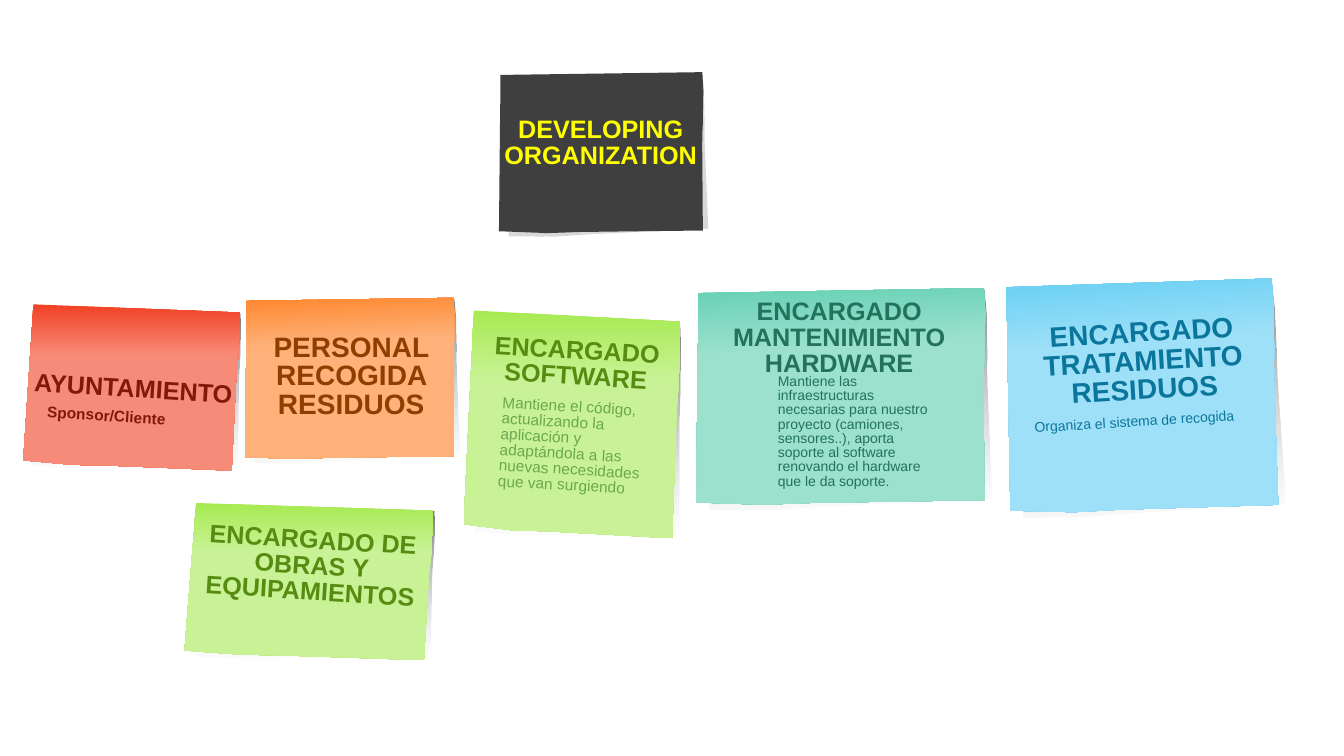
"""Build a slide of tilted sticky notes naming the roles of a developing organization."""
from dataclasses import dataclass
from typing import Any, NamedTuple

from lxml import etree
from pptx import Presentation
from pptx import util as u
from pptx.dml.color import RGBColor
from pptx.enum import text
from pptx.oxml import ns

BLACK, GREY = RGBColor(0x00, 0x00, 0x00), RGBColor(0x94, 0x94, 0x94)
CHARCOAL, SILVER = RGBColor(0x3F, 0x3F, 0x3F), RGBColor(0xD8, 0xD8, 0xD8)
YELLOW = RGBColor(0xFF, 0xFF, 0x00)
RED, PALE_RED, DARK_RED = RGBColor(0xF1, 0x41, 0x24), RGBColor(0xF7, 0x8B, 0x79), RGBColor(0x82, 0x19, 0x08)
ORANGE, PALE_ORANGE, BROWN = RGBColor(0xFF, 0x80, 0x21), RGBColor(0xFE, 0xB1, 0x79), RGBColor(0x90, 0x3D, 0x00)
LIME, PALE_LIME, DARK_LIME = RGBColor(0xA7, 0xEA, 0x52), RGBColor(0xC9, 0xF2, 0x96), RGBColor(0x56, 0x8C, 0x11)
LEAF = RGBColor(0x6A, 0xA8, 0x4F)
TEAL, PALE_TEAL, DARK_TEAL = RGBColor(0x5D, 0xCE, 0xAF), RGBColor(0x9C, 0xE1, 0xCE), RGBColor(0x22, 0x72, 0x5C)
SKY, PALE_SKY, DARK_SKY = RGBColor(0x5E, 0xCC, 0xF3), RGBColor(0x9E, 0xE0, 0xF7), RGBColor(0x0B, 0x76, 0x9C)

PAPER_OUTLINE = (
    (100, 4.9), (100, 16.4), (99.6, 23), (99.3, 28.8), (99, 35), (98.6, 39.8),
    (98.1, 48.2), (97.3, 70.4), (96.2, 100), (62.8, 98.2), (38.1, 96.9),
    (22.3, 96.5), (18.6, 96), (14.9, 95.6), (7.4, 94.7), (0, 93.8),
    (3.3, 27.9), (3.7, 20.8), (4, 15), (4.2, 9.7), (4.7, 0),
)


class Frame(NamedTuple):
    """Place and size in points, with a clockwise tilt in degrees."""
    left: float
    top: float
    width: float
    height: float
    tilt: float = 0


class Stop(NamedTuple):
    """One gradient stop, with position and opacity in percent."""
    position: int
    color: RGBColor
    opacity: int = 100


@dataclass(frozen=True)
class Caption:
    """A piece of writing on a note."""
    words: tuple[str, ...]
    frame: Frame
    size: float
    color: RGBColor
    bold: bool = True
    centered: bool = True
    level: int = 0
    is_title: bool = False


@dataclass(frozen=True)
class Note:
    """A sheet of paper, its colours and its captions."""
    frame: Frame
    paper: tuple[Stop, ...]
    captions: tuple[Caption, ...]
    shade: tuple[Stop, ...] = (Stop(0, BLACK, 58), Stop(100, GREY, 0))


def faded(strong: RGBColor, pale: RGBColor) -> tuple[Stop, ...]:
    """Return the stops of a sheet that fades from its top edge."""
    return Stop(0, strong), Stop(31, pale), Stop(100, pale)


NOTES = (
    Note(Frame(16.6, 217.4, 154.8, 118.8), faded(RED, PALE_RED), (
        Caption(("AYUNTAMIENTO",), Frame(13.7, 265.7, 162, 41.8, 3.5), 18, DARK_RED),
        Caption(("Sponsor/Cliente",), Frame(26.6, 289.4, 130.3, 15.8, 3.7), 11, DARK_RED, centered=False))),
    Note(Frame(172.1, 211, 154.8, 118.8, -3.1), faded(ORANGE, PALE_ORANGE), (
        Caption(("PERSONAL RECOGIDA RESIDUOS",), Frame(183.6, 235.4, 134.6, 39.6), 20, BROWN),)),
    Note(Frame(331.2, 221.8, 154.8, 162.7), faded(LIME, PALE_LIME), (
        Caption(("ENCARGADO SOFTWARE",), Frame(331.2, 238.3, 161.3, 40.3, 3.5), 18, DARK_LIME),
        Caption(("Mantiene el código, actualizando la aplicación y adaptándola a las nuevas "
                 "necesidades que van surgiendo",),
                Frame(351.4, 282.2, 126.7, 30.2, 3.3), 11, LEAF, bold=False, centered=False))),
    Note(Frame(493.2, 203.8, 213.8, 159.1, -3.2), faded(TEAL, PALE_TEAL), (
        Caption(("ENCARGADO", "MANTENIMIENTO HARDWARE"), Frame(500.4, 211, 198, 41), 18, DARK_TEAL),
        Caption(("Mantiene las infraestructuras necesarias para nuestro proyecto (camiones, "
                 "sensores..), aporta soporte al software renovando el hardware que le da soporte.",),
                Frame(512.6, 264.2, 163.4, 30.2), 10, DARK_TEAL, bold=False, centered=False, level=1))),
    Note(Frame(715.7, 198, 198.7, 169.9, -4.4), faded(SKY, PALE_SKY), (
        Caption(("ENCARGADO TRATAMIENTO RESIDUOS",), Frame(714.2, 224.6, 203, 40.3, -3.4), 20, DARK_SKY),
        Caption(("Organiza el sistema de recogida",), Frame(732.2, 293, 159.2, 30.2, -3.4), 10, DARK_SKY,
                bold=False, centered=False))),
    Note(Frame(353.5, 49.7, 151.2, 118.8, -3.1), (Stop(0, CHARCOAL),), (
        Caption(("DEVELOPING ORGANIZATION",), Frame(350.6, 80.6, 157, 41), 18, YELLOW, is_title=True),),
        shade=(Stop(0, SILVER),)),
    Note(Frame(131.8, 359.3, 177.8, 112.3), faded(LIME, PALE_LIME), (
        Caption(("ENCARGADO DE OBRAS Y EQUIPAMIENTOS",), Frame(140.4, 373.7, 165.6, 40.3, 3.5), 18, DARK_LIME),)),
)


def apply_format(target: Any, values: dict[str, Any]) -> None:
    """Set each named attribute on the target."""
    for attribute, value in values.items():
        setattr(target, attribute, value)


def shadow_frame(sheet: Frame) -> Frame:
    """Return the slightly smaller, shifted and turned frame behind a sheet."""
    return Frame(sheet.left + 0.033 * sheet.width, sheet.top + 0.03 * sheet.height,
                 0.98 * sheet.width, 0.98 * sheet.height, sheet.tilt - 2)


def paint(paper: Any, stops: tuple[Stop, ...]) -> None:
    """Fill a sheet with one colour or with a downward gradient."""
    if len(stops) == 1:
        paper.fill.solid()
        paper.fill.fore_color.rgb = stops[0].color
        return
    paper.fill.gradient()
    paper.fill.gradient_angle = 270
    ramp = paper.fill._xPr.find(".//" + ns.qn("a:gsLst"))
    for default_stop in list(ramp):
        ramp.remove(default_stop)
    for stop in stops:
        mark = etree.SubElement(ramp, ns.qn("a:gs"), pos=str(stop.position * 1000))
        tint = etree.SubElement(mark, ns.qn("a:srgbClr"), val=str(stop.color))
        etree.SubElement(tint, ns.qn("a:alpha"), val=str(stop.opacity * 1000))


def draw_sheet(slide: Any, frame: Frame, stops: tuple[Stop, ...]) -> None:
    """Draw the curled paper outline within a frame."""
    corners = [(u.Pt(frame.left + frame.width * x / 100), u.Pt(frame.top + frame.height * y / 100))
               for x, y in PAPER_OUTLINE]
    outline = slide.shapes.build_freeform(*corners[0])
    outline.add_line_segments(corners[1:], close=True)
    paper = outline.convert_to_shape()
    paper.rotation = frame.tilt
    paper.shadow.inherit = False
    paper.line.fill.background()
    paint(paper, stops)


def write_caption(slide: Any, caption: Caption) -> None:
    """Write a caption in the title placeholder or in a text box."""
    left, top, width, height = (u.Pt(length) for length in caption.frame[:4])
    if caption.is_title:
        label = slide.shapes.title
        slide.shapes._spTree.append(label._element)
    else:
        label = slide.shapes.add_textbox(left, top, width, height)
    apply_format(label, {"left": left, "top": top, "width": width, "height": height,
                         "rotation": caption.frame.tilt})
    body = label.text_frame
    body.text = "\n".join(caption.words)
    apply_format(body, {"word_wrap": True, "auto_size": text.MSO_AUTO_SIZE.NONE,
                        "vertical_anchor": text.MSO_ANCHOR.TOP,
                        "margin_left": u.Pt(7.2), "margin_right": u.Pt(7.2),
                        "margin_top": u.Pt(3.6), "margin_bottom": u.Pt(3.6)})
    alignment = text.PP_ALIGN.CENTER if caption.centered else text.PP_ALIGN.LEFT
    for line in body.paragraphs:
        apply_format(line, {"alignment": alignment, "line_spacing": 0.85, "level": caption.level})
        font = line.runs[0].font
        apply_format(font, {"name": "Arial", "size": u.Pt(caption.size), "bold": caption.bold})
        font.color.rgb = caption.color


def main() -> None:
    """Build and save the slide."""
    deck = Presentation()
    apply_format(deck, {"slide_width": u.Pt(960), "slide_height": u.Pt(540)})
    slide = deck.slides.add_slide(deck.slide_layouts.get_by_name("Title Only"))
    for note in NOTES:
        draw_sheet(slide, shadow_frame(note.frame), note.shade)
        draw_sheet(slide, note.frame, note.paper)
        for caption in note.captions:
            write_caption(slide, caption)
    deck.save("out.pptx")


if __name__ == "__main__":
    main()
